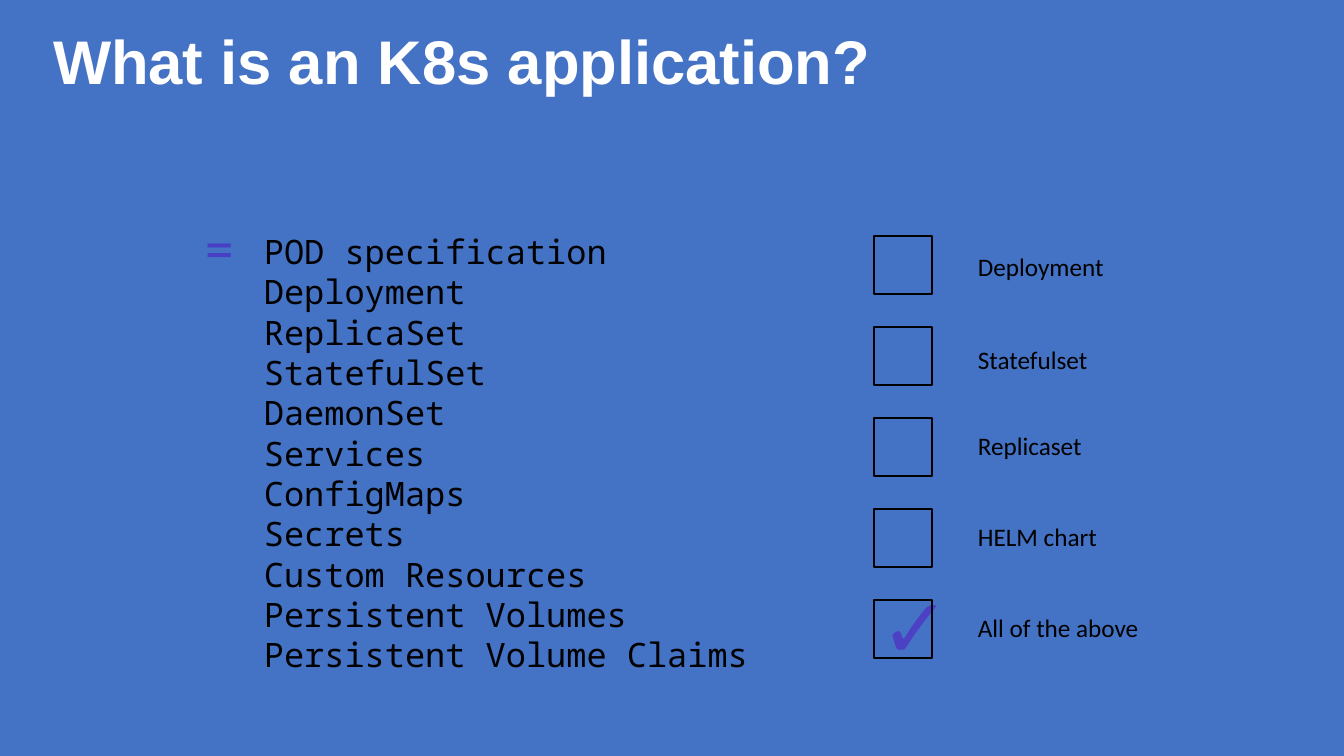
from pptx import Presentation
from pptx.dml.color import RGBColor
from pptx.enum.shapes import MSO_SHAPE
from pptx.enum.text import MSO_ANCHOR, MSO_AUTO_SIZE
from pptx.util import Emu, Pt

PX_PER_INCH = 100.8
BLUE = RGBColor(0x44, 0x72, 0xC4)
INDIGO = RGBColor(0x49, 0x3F, 0xC4)
VIOLET = RGBColor(0x4C, 0x41, 0xC4)
BLACK = RGBColor(0, 0, 0)
WHITE = RGBColor(0xFF, 0xFF, 0xFF)
MONO = "Noto Sans Mono"
SANS = "Calibri"

RESOURCES = [
    "POD specification", "Deployment", "ReplicaSet", "StatefulSet",
    "DaemonSet", "Services", "ConfigMaps", "Secrets", "Custom Resources",
    "Persistent Volumes", "Persistent Volume Claims",
]
# Answer, top and width of its label
ANSWERS = [
    ("Deployment", 246, 147),
    ("Statefulset", 339, 131),
    ("Replicaset", 425, 125),
    ("HELM chart", 516, 141),
    ("All of the above", 607, 182),
]
BOX_LEFT, BOX_TOP, BOX_SIZE, BOX_STEP = 874, 236, 58, 91
LABEL_LEFT, LABEL_HEIGHT = 968, 40


def px(length):
    return Emu(round(length * 914400 / PX_PER_INCH))


def style_text(frame, font_name, size, color, bold=False):
    for para in frame.paragraphs:
        for span in para.runs:
            font = span.font
            font.name, font.size, font.bold = font_name, Pt(size), bold
            font.color.rgb = color


def add_title(page, text):
    title = page.shapes.title
    title.left, title.top, title.width, title.height = map(px, (43, -8, 1159, 146))
    frame = title.text_frame
    frame.text = text
    frame.word_wrap = True
    frame.auto_size = MSO_AUTO_SIZE.NONE
    frame.vertical_anchor = MSO_ANCHOR.MIDDLE
    para = frame.paragraphs[0]
    para.alignment = 1
    para.line_spacing = 0.9
    style_text(frame, "Arial", 44, WHITE, bold=True)


def add_text(page, text, place, font_name, size, color):
    box = page.shapes.add_textbox(*map(px, place))
    frame = box.text_frame
    frame.text = text
    frame.word_wrap = False
    frame.auto_size = MSO_AUTO_SIZE.SHAPE_TO_FIT_TEXT
    style_text(frame, font_name, size, color)


def add_checkbox(page, top):
    box = page.shapes.add_shape(
        MSO_SHAPE.RECTANGLE, *map(px, (BOX_LEFT, top, BOX_SIZE, BOX_SIZE)))
    box.shadow.inherit = False
    box.fill.background()
    box.line.color.rgb = BLACK
    box.line.width = Pt(1)


def main():
    deck = Presentation()
    deck.slide_width, deck.slide_height = px(1344), px(756)
    page = deck.slides.add_slide(deck.slide_layouts[5])
    page.background.fill.solid()
    page.background.fill.fore_color.rgb = BLUE

    add_title(page, "What is an K8s application?")
    add_text(page, "=", (195, 213, 51, 72), MONO, 36, INDIGO)
    add_text(page, "\n".join(RESOURCES), (254, 226, 512, 458), MONO, 24, BLACK)
    add_text(page, "✓", (871, 570, 87, 112), SANS, 60, VIOLET)
    for row, (answer, label_top, width) in enumerate(ANSWERS):
        add_checkbox(page, BOX_TOP + row * BOX_STEP)
        add_text(page, answer, (LABEL_LEFT, label_top, width, LABEL_HEIGHT),
                 SANS, 18, BLACK)
    deck.save("out.pptx")


if __name__ == "__main__":
    main()
